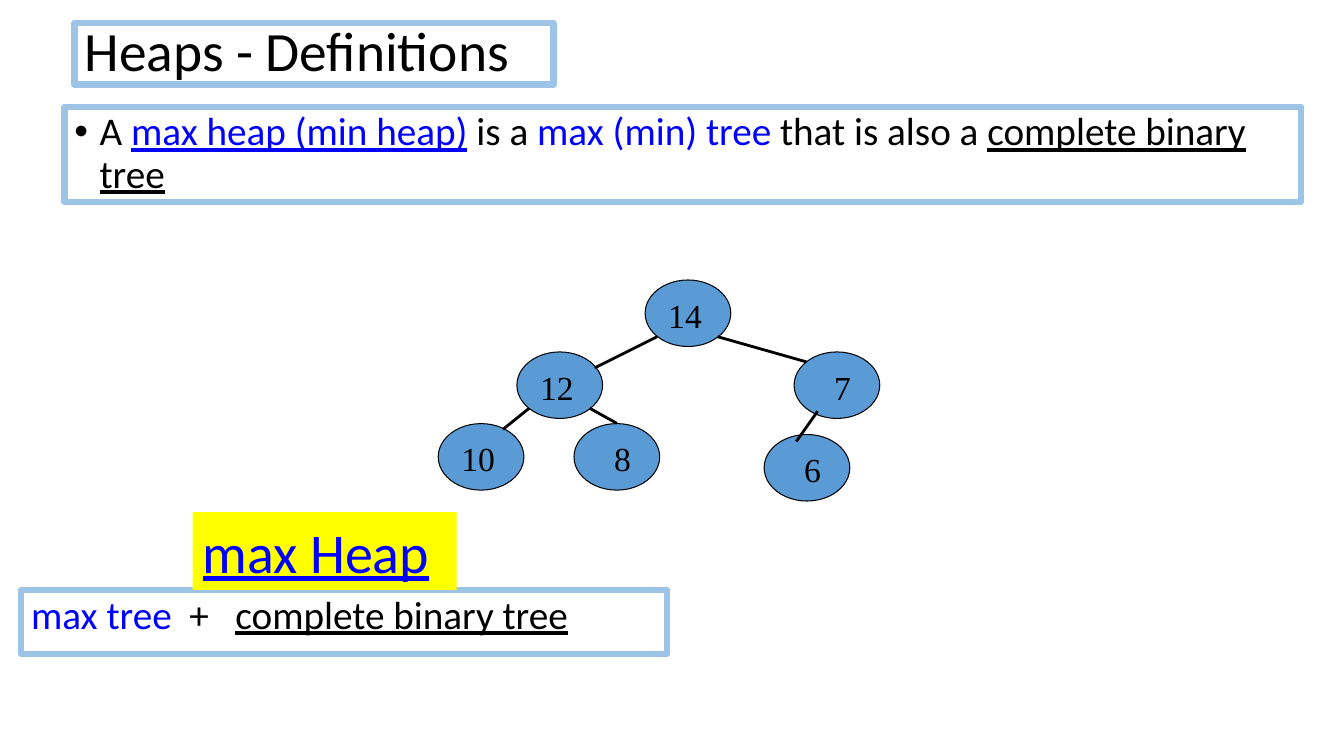
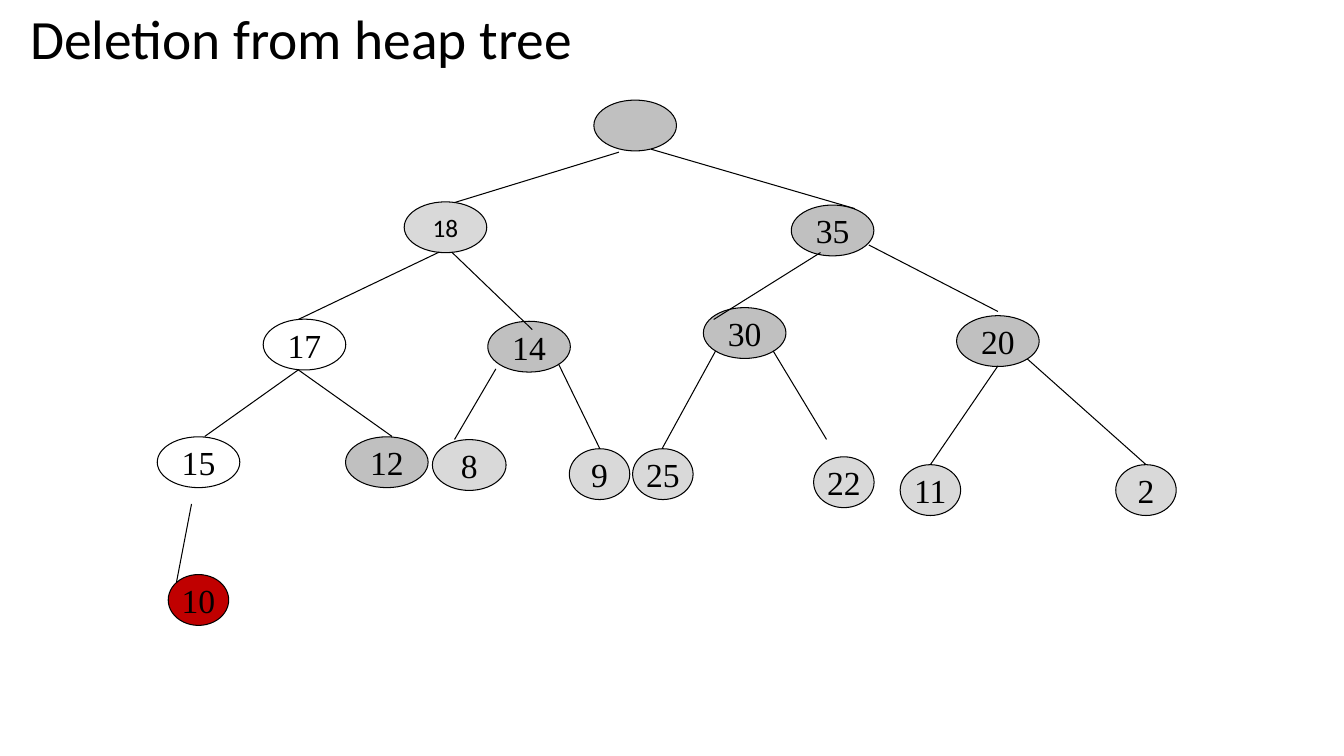
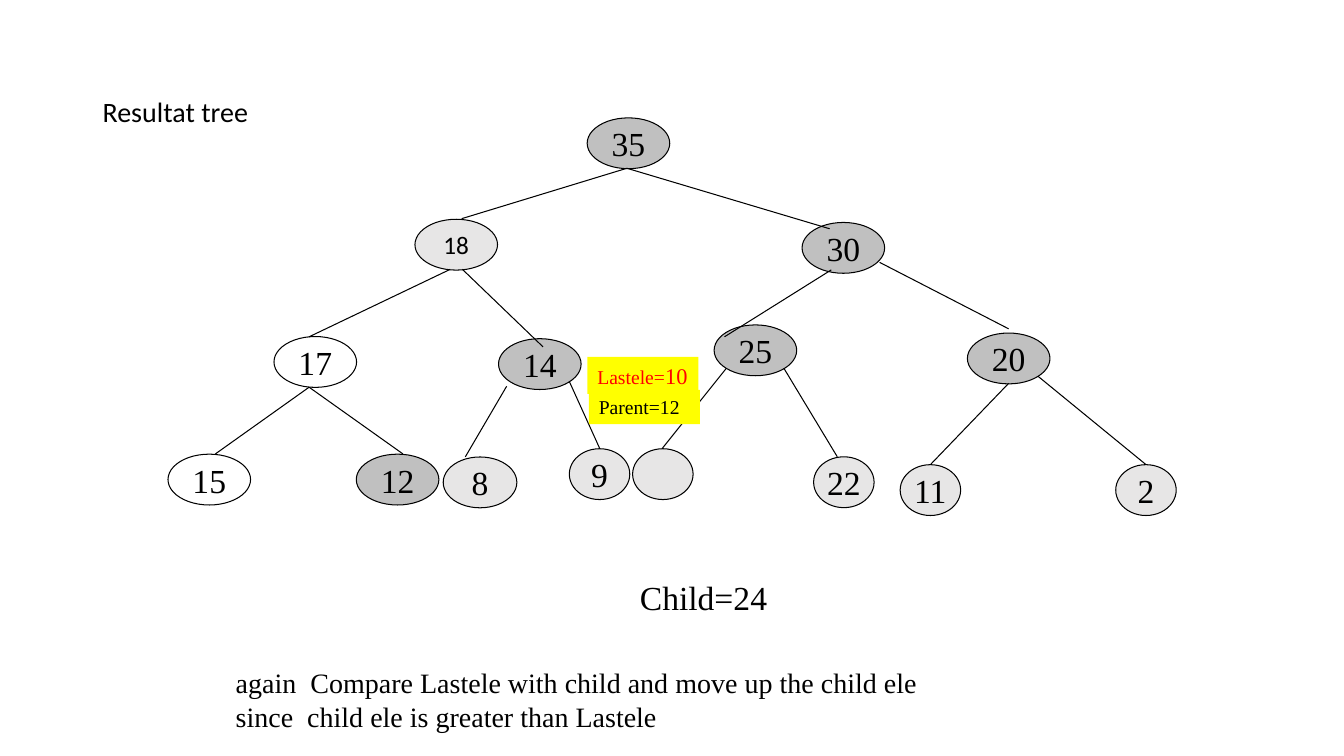
from lxml import etree
from pptx import Presentation
from pptx.dml.color import RGBColor
from pptx.enum.shapes import MSO_CONNECTOR, MSO_SHAPE
from pptx.enum.text import MSO_ANCHOR, PP_ALIGN
from pptx.oxml.ns import qn
from pptx.util import Pt

LINE = MSO_CONNECTOR.STRAIGHT
OVAL, RECT = MSO_SHAPE.OVAL, MSO_SHAPE.RECTANGLE
TOP, MIDDLE = MSO_ANCHOR.TOP, MSO_ANCHOR.MIDDLE
LEFT, CENTER = PP_ALIGN.LEFT, PP_ALIGN.CENTER

BLACK = RGBColor(0x00, 0x00, 0x00)
BLUE = RGBColor(0x00, 0x00, 0xFF)
RED = RGBColor(0xFF, 0x00, 0x00)
YELLOW = RGBColor(0xFF, 0xFF, 0x00)
FRAME = RGBColor(0x9D, 0xC3, 0xE6)
NODE = RGBColor(0x5B, 0x9B, 0xD5)
GREY = RGBColor(0xC0, 0xC0, 0xC0)
PALE = RGBColor(0xD9, 0xD9, 0xD9)
MIST = RGBColor(0xE7, 0xE6, 0xE6)
CRIMSON = RGBColor(0xC0, 0x00, 0x00)
SANS, SERIF = "Calibri", "Times New Roman"

# Runs are plain strings or (text, format) pairs.
TINT = {"color": BLUE}
UNDER = {"under": True}
LINK = {"color": BLUE, "under": True}
RULE = ["A ", ("max heap (min heap)", LINK), " is a ", ("max (min) tree", TINT),
        " that is also a ", ("complete binary tree", UNDER)]
SUM = [("max tree", TINT), "  +   ", ("complete binary tree", UNDER)]
ADVICE = ["again  Compare Lastele with child and move up the child ele",
          "since  child ele is greater than Lastele"]

# Max heap: label, left, top; then lines as x1, y1, x2, y2.
HEAP = [("14", 460.8, 200), ("12", 369.2, 251.4), ("7", 567.2, 251.4),
        ("10", 313, 302.6), ("8", 410, 302.6), ("6", 545.8, 310.4)]
HEAP_LINES = [(469.4, 240.5, 424.8, 262.8), (378, 291.6, 359.3, 306.7),
              (512.6, 240.5, 576, 258.5), (421.2, 291.6, 440.6, 302.4),
              (584, 293.8, 568.8, 315.4)]

# Large tree: inner nodes move with the shift, leaves stay in place.
INNER = {"L": (288.7, 144.2, 59), "R": (565.2, 146.5, 59),
         "LL": (188, 228, 59), "LR": (348.4, 229.5, 59),
         "RL": (502.4, 219.7, 59), "RR": (683.3, 225.5, 59),
         "LLL": (112.3, 312, 59), "LLR": (246.8, 312, 59),
         "LRL": (308.9, 314, 52.6)}
LEAVES = {"LRR": (406.7, 320.5, 43.2), "RLL": (451.9, 320.5, 43.2),
          "RLR": (581.2, 326.3, 43.2), "RRL": (643, 331.9, 43.2),
          "RRR": (797, 331.9, 43.2)}
WHITE_KEYS = {"LL", "LLL"}
PALE_KEYS = {"L", "LRL", *LEAVES}
BRANCHES = [(313.9, 180, 213.1, 228.2), (322.6, 180, 380.2, 235.4),
            (586.1, 180.4, 509.8, 228.2), (620.6, 175, 712.8, 222.5),
            (213.1, 264.2, 146.2, 311.8), (213.1, 264.2, 280.1, 311.8),
            (354.2, 263.5, 324.7, 313.9), (552.2, 250.6, 590.4, 313.9)]
TWIGS = [(511.2, 250.6, 473, 320.4), (712.8, 261.4, 664.6, 331.9),
         (733.7, 256.3, 818.6, 331.9), (398.9, 259.9, 428.4, 320.4)]

BEFORE = {"L": "18", "R": "35", "LL": "17", "LR": "14", "RL": "30", "RR": "20",
          "LLL": "15", "LLR": "12", "LRL": "8", "LRR": "9", "RLL": "25",
          "RLR": "22", "RRL": "11", "RRR": "2"}
AFTER = {**BEFORE, "R": "30", "RL": "25", "RLL": ""}


def write(shape, lines, font=SANS, size=24, color=BLACK, align=LEFT, anchor=TOP,
          wrap=True, spacing=None, before=0, bullet=False, pad=(7.2, 3.6, 7.2, 3.6)):
    """Fill a shape with lines, each a string or a list of runs."""
    frame = shape.text_frame
    frame.word_wrap, frame.vertical_anchor = wrap, anchor
    (frame.margin_left, frame.margin_top,
     frame.margin_right, frame.margin_bottom) = map(Pt, pad)
    for i, line in enumerate(lines):
        para = frame.add_paragraph() if i else frame.paragraphs[0]
        para.alignment, para.space_before = align, Pt(before)
        if spacing:
            para.line_spacing = spacing
        if bullet:
            props = para._p.get_or_add_pPr()
            props.set("marL", str(Pt(18)))
            props.set("indent", str(-Pt(18)))
            etree.SubElement(props, qn("a:buFont")).set("typeface", "Arial")
            etree.SubElement(props, qn("a:buChar")).set("char", "•")
        for part in [line] if isinstance(line, str) else line:
            text, style = (part, {}) if isinstance(part, str) else part
            run = para.add_run()
            run.text = text
            run.font.name = font
            run.font.size = Pt(style.get("size", size))
            run.font.color.rgb = style.get("color", color)
            run.font.underline = style.get("under", False)


def draw(slide, kind, area, fill=None, edge=None, width=0.75):
    shape = slide.shapes.add_shape(kind, *map(Pt, area))
    shape.shadow.inherit = False
    if fill is None:
        shape.fill.background()
    else:
        shape.fill.solid()
        shape.fill.fore_color.rgb = fill
    if edge is None:
        shape.line.fill.background()
    else:
        shape.line.color.rgb = edge
        shape.line.width = Pt(width)
    return shape


def box(slide, area, lines, fill=None, edge=None, **style):
    if fill is None and edge is None:
        shape = slide.shapes.add_textbox(*map(Pt, area))
    else:
        shape = draw(slide, RECT, area, fill, edge, 4.5)
    write(shape, lines, **style)


def title(slide, area, text, size=39.6, edge=None):
    box(slide, area, [text], edge=edge, size=size, anchor=MIDDLE, spacing=0.9)


def node(slide, area, text, fill, **style):
    shape = draw(slide, OVAL, area, fill, BLACK)
    if text:
        look = {"font": SERIF, "align": CENTER, "anchor": MIDDLE, "wrap": False}
        write(shape, [text], **{**look, **style})


def link(slide, ends, width=0.75):
    line = slide.shapes.add_connector(LINE, *map(Pt, ends))
    line.line.color.rgb = BLACK
    line.line.width = Pt(width)
    etree.SubElement(line._element.spPr, qn("a:effectLst"))


def tree(slide, labels, root, stems, pale, dx=0, dy=0):
    """Draw the large tree; root is (label, left, top), stems its two lines."""
    text, x, y = root
    node(slide, (x, y, 59, 36.3), text, GREY)
    spots = {key: (x + dx, y + dy, w) for key, (x, y, w) in INNER.items()}
    for key, (x, y, w) in {**spots, **LEAVES}.items():
        fill = None if key in WHITE_KEYS else pale if key in PALE_KEYS else GREY
        style = {"font": SANS, "size": 18} if key == "L" else {}
        node(slide, (x, y, w, 36.3), labels[key], fill, **style)
    for ends in stems:
        link(slide, ends)
    for x1, y1, x2, y2 in BRANCHES:
        link(slide, (x1 + dx, y1 + dy, x2 + dx, y2 + dy))
    for x1, y1, x2, y2 in TWIGS:
        link(slide, (x1 + dx, y1 + dy, x2, y2))


def define(slide):
    box(slide, (46.1, 76.5, 883.4, 67.7), [RULE], edge=FRAME, size=28,
        spacing=0.9, before=10, bullet=True)
    title(slide, (53.3, 16.4, 342, 44), "Heaps - Definitions", edge=FRAME)
    for text, x, y in HEAP:
        pad = (7.2, 3.6, 11.2, 3.6) if len(text) > 1 else (15.2, 3.6, 7.2, 3.6)
        node(slide, (x, y, 61.2, 47.5), text, NODE, anchor=TOP, pad=pad)
    for ends in HEAP_LINES:
        link(slide, ends, 2)
    box(slide, (15.1, 421.6, 461.5, 45.4), [SUM], edge=FRAME, size=28,
        spacing=0.9, before=10)
    box(slide, (137.6, 365.8, 188.6, 55.6), [[("max Heap", LINK)]],
        fill=YELLOW, size=40)


def delete(slide):
    tree(slide, BEFORE, ("", 424.2, 71.5),
         [(442.1, 108.7, 324.7, 144.7), (465.1, 106.6, 610.6, 149)], PALE)
    node(slide, (120.2, 410.4, 43.2, 36.3), "10", CRIMSON)
    link(slide, (136.8, 360, 126, 416.2))
    title(slide, (14.4, 11.5, 412.6, 36), "Deletion from heap tree")


def result(slide):
    tree(slide, AFTER, ("35", 419.4, 84.2),
         [(447.8, 120.2, 329.8, 156.2), (447.8, 120.2, 592.6, 163.4)],
         MIST, 7.7, 12.4)
    title(slide, (66.2, 28.8, 828, 104.4), "Resultat tree", size=20)
    box(slide, (161.3, 453.6, 580.3, 94.3), ADVICE, font=SERIF, size=20,
        pad=(7.2, 22, 7.2, 3.6))
    box(slide, (419.6, 254.9, 79.2, 26.6), [["Lastele=", ("10", {"size": 16, "color": RED})]],
        fill=YELLOW, font=SERIF, size=14, color=RED)
    box(slide, (420.7, 278.6, 79.2, 24.5), ["Parent=12"], fill=YELLOW,
        font=SERIF, size=14)
    box(slide, (450, 408.2, 129.6, 36.7), ["Child=24"], font=SERIF)


def main():
    deck = Presentation()
    deck.slide_width, deck.slide_height = Pt(960), Pt(540)
    blank = deck.slide_layouts[6]
    for build in (define, delete, result):
        build(deck.slides.add_slide(blank))
    deck.save("out.pptx")


if __name__ == "__main__":
    main()
